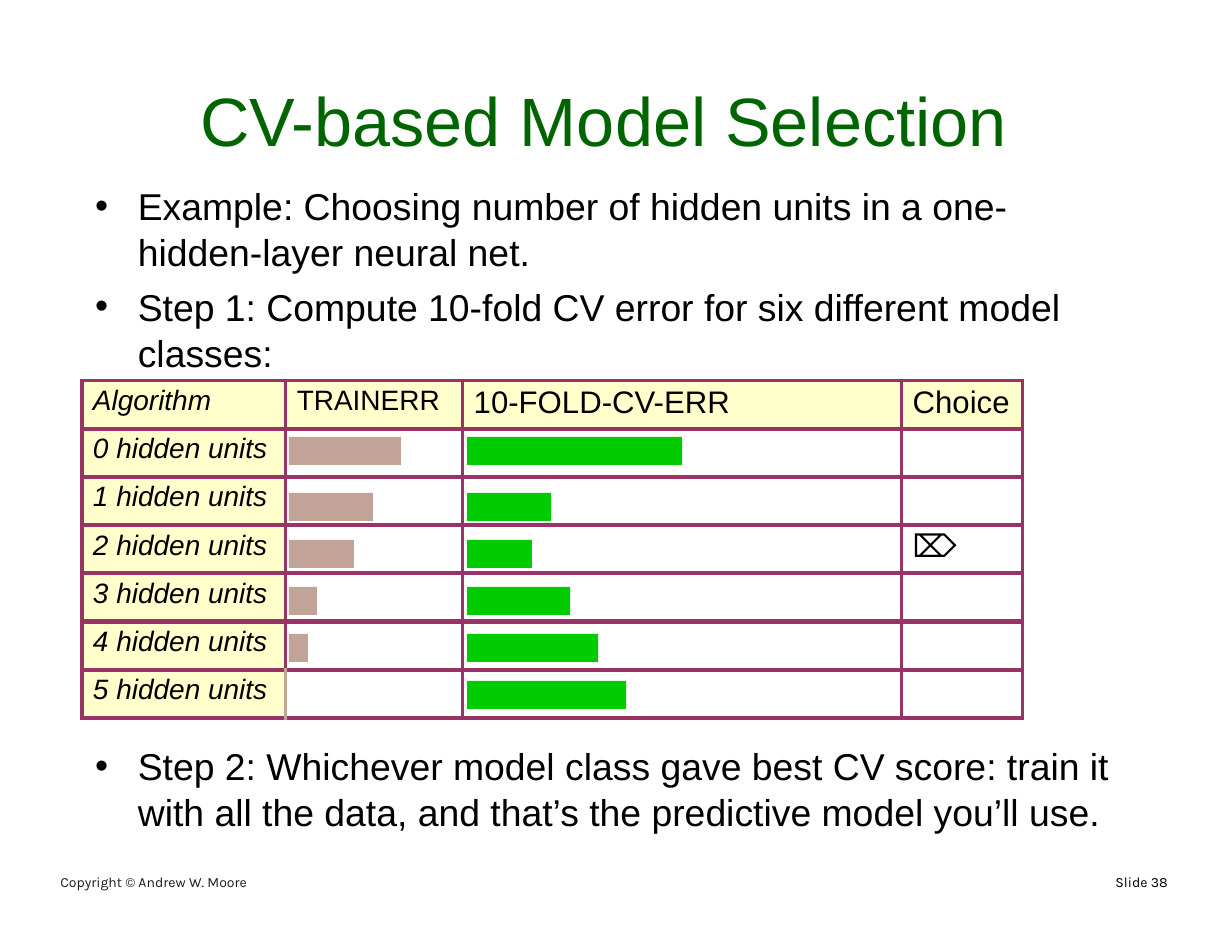
from lxml.etree import SubElement
from pptx import Presentation
from pptx.dml.color import RGBColor
from pptx.enum.shapes import MSO_SHAPE as Shape
from pptx.enum.text import MSO_ANCHOR as Anchor, MSO_AUTO_SIZE as AutoSize, PP_ALIGN as Align
from pptx.oxml.ns import qn
from pptx.util import Inches, Pt

COLORS = {"title": "006500", "text": "000000", "footer": "1B1B1B", "label": "FFFFCC",
          "border": "993366", "train": "C2A398", "cv": "00CC00"}

TITLE = "CV-based Model Selection"
INTRO = ["Example: Choosing number of hidden units in a one-hidden-layer neural net.",
         "Step 1: Compute 10-fold CV error for six different model classes:"]
CONCLUSION = ["Step 2: Whichever model class gave best CV score: train it with all "
              "the data, and that’s the predictive model you’ll use."]
FOOTERS = [("Copyright © Andrew W. Moore", 0.53, 1.9, "footer"),
           ("Slide 38", 9.95, 0.7, "text")]

HEADERS = [("Algorithm", 18), ("TRAINERR", 18), ("10-FOLD-CV-ERR", 20), ("Choice", 20)]
MODELS = [("0 hidden units", 1.0, 1.92, ""),
          ("1 hidden units", 0.75, 0.75, ""),
          ("2 hidden units", 0.58, 0.58, "⌦"),
          ("3 hidden units", 0.25, 0.92, ""),
          ("4 hidden units", 0.17, 1.17, ""),
          ("5 hidden units", 0, 1.42, "")]

TABLE_LEFT, TABLE_TOP, ROW_HEIGHT = 0.73, 3.4, 0.43
COLUMN_WIDTHS = [1.82, 1.58, 3.92, 1.08]
TRAIN_LEFT, CV_LEFT, BAR_HEIGHT = 2.58, 4.17, 0.25
FIRST_BAR_TOP, SECOND_BAR_TOP, BAR_STEP = 3.9, 4.4, 0.42


def color(name):
    return RGBColor.from_string(COLORS[name])


def write(frame, lines, size, font="Arial", fill="text", italic=False,
          before=1, between=0, indent=0.01, spacing=1.0, bullet=False):
    frame.word_wrap = True
    for index, line in enumerate(lines):
        paragraph = frame.paragraphs[0] if index == 0 else frame.add_paragraph()
        paragraph.alignment = Align.LEFT
        paragraph.space_before = Pt(between if index else before)
        paragraph.line_spacing = spacing
        properties = paragraph._p.get_or_add_pPr()
        properties.set("marL", str(Inches(indent)))
        properties.set("indent", str(Inches(-0.38 if bullet else 0)))
        if bullet:
            SubElement(properties, qn("a:buFont"), typeface="Arial")
            SubElement(properties, qn("a:buChar"), char="•")
        run = paragraph.add_run()
        run.text = line
        run.font.name = font
        run.font.size = Pt(size)
        run.font.italic = italic
        run.font.color.rgb = color(fill)


def place(shape, left, top, width, height):
    shape.left, shape.top = Inches(left), Inches(top)
    shape.width, shape.height = Inches(width), Inches(height)
    frame = shape.text_frame
    frame.margin_left = frame.margin_right = frame.margin_bottom = 0
    frame.margin_top = Inches(0.01)
    frame.vertical_anchor = Anchor.TOP
    frame.auto_size = AutoSize.NONE
    return frame


def add_bar(slide, left, top, width, fill):
    bar = slide.shapes.add_shape(Shape.RECTANGLE, Inches(left), Inches(top),
                                 Inches(width), Inches(BAR_HEIGHT))
    bar.shadow.inherit = False
    bar.fill.solid()
    bar.fill.fore_color.rgb = color(fill)
    bar.line.fill.background()


def set_borders(cell, borders):
    properties = cell._tc.get_or_add_tcPr()
    for index, (side, (width, name)) in enumerate(borders.items()):
        line = properties.makeelement(qn(f"a:ln{side}"), {"w": str(Pt(width))})
        solid = SubElement(line, qn("a:solidFill"))
        SubElement(solid, qn("a:srgbClr"), val=COLORS[name])
        properties.insert(index, line)


def add_results_table(slide):
    rows = [[(text, size, column == 0) for column, (text, size) in enumerate(HEADERS)]]
    rows += [[(label, 18, True), ("", 18, False), ("", 18, False), (choice, 20, False)]
             for label, _, _, choice in MODELS]
    frame = slide.shapes.add_table(len(rows), len(COLUMN_WIDTHS),
                                   Inches(TABLE_LEFT), Inches(TABLE_TOP),
                                   Inches(sum(COLUMN_WIDTHS)), Inches(ROW_HEIGHT * len(rows)))
    table = frame.table
    table.first_row = table.horz_banding = False
    for column, width in zip(table.columns, COLUMN_WIDTHS):
        column.width = Inches(width)
    last = len(rows) - 1
    for r, row in enumerate(rows):
        table.rows[r].height = Inches(ROW_HEIGHT)
        for c, (text, size, italic) in enumerate(row):
            cell = table.cell(r, c)
            cell.margin_left = cell.margin_right = cell.margin_bottom = 0
            cell.margin_top = Inches(0.04)
            if r == 0 or c == 0:
                cell.fill.solid()
                cell.fill.fore_color.rgb = color("label")
            else:
                cell.fill.background()
            if text:
                write(cell.text_frame, [text], size, italic=italic, before=3.1, indent=0.1)
            set_borders(cell, {
                "L": (3 if c == 0 else 2.25, "train" if (r, c) == (last, 1) else "border"),
                "R": (2.25, "train" if (r, c) == (last, 0) else "border"),
                "T": (3 if r else 2.25, "border"),
                "B": (3, "border")})


def main():
    presentation = Presentation()
    presentation.slide_width, presentation.slide_height = Inches(11), Inches(8.5)
    slide = presentation.slides.add_slide(presentation.slide_layouts.get_by_name("Two Content"))
    title, intro, conclusion = slide.placeholders

    for index, (_, train, cv, _) in enumerate(MODELS):
        top = SECOND_BAR_TOP + (index - 1) * BAR_STEP if index else FIRST_BAR_TOP
        add_bar(slide, CV_LEFT, top, cv, "cv")
        if train:
            add_bar(slide, TRAIN_LEFT, top, train, "train")
    add_results_table(slide)

    write(place(title, 1.78, 0.69, 7.4, 0.76), [TITLE], 44, fill="title")
    list_format = {"size": 24, "between": 5.6, "indent": 0.39, "spacing": 1.03, "bullet": True}
    write(place(intro, 0.84, 1.61, 8.65, 1.71), INTRO, **list_format)
    write(place(conclusion, 0.84, 6.61, 9.1, 0.83), CONCLUSION, **list_format)
    for text, left, width, fill in FOOTERS:
        box = slide.shapes.add_textbox(0, 0, 0, 0)
        write(place(box, left, 7.79, width, 0.18), [text], 9, font="Karla", fill=fill)

    presentation.save("out.pptx")


if __name__ == "__main__":
    main()
